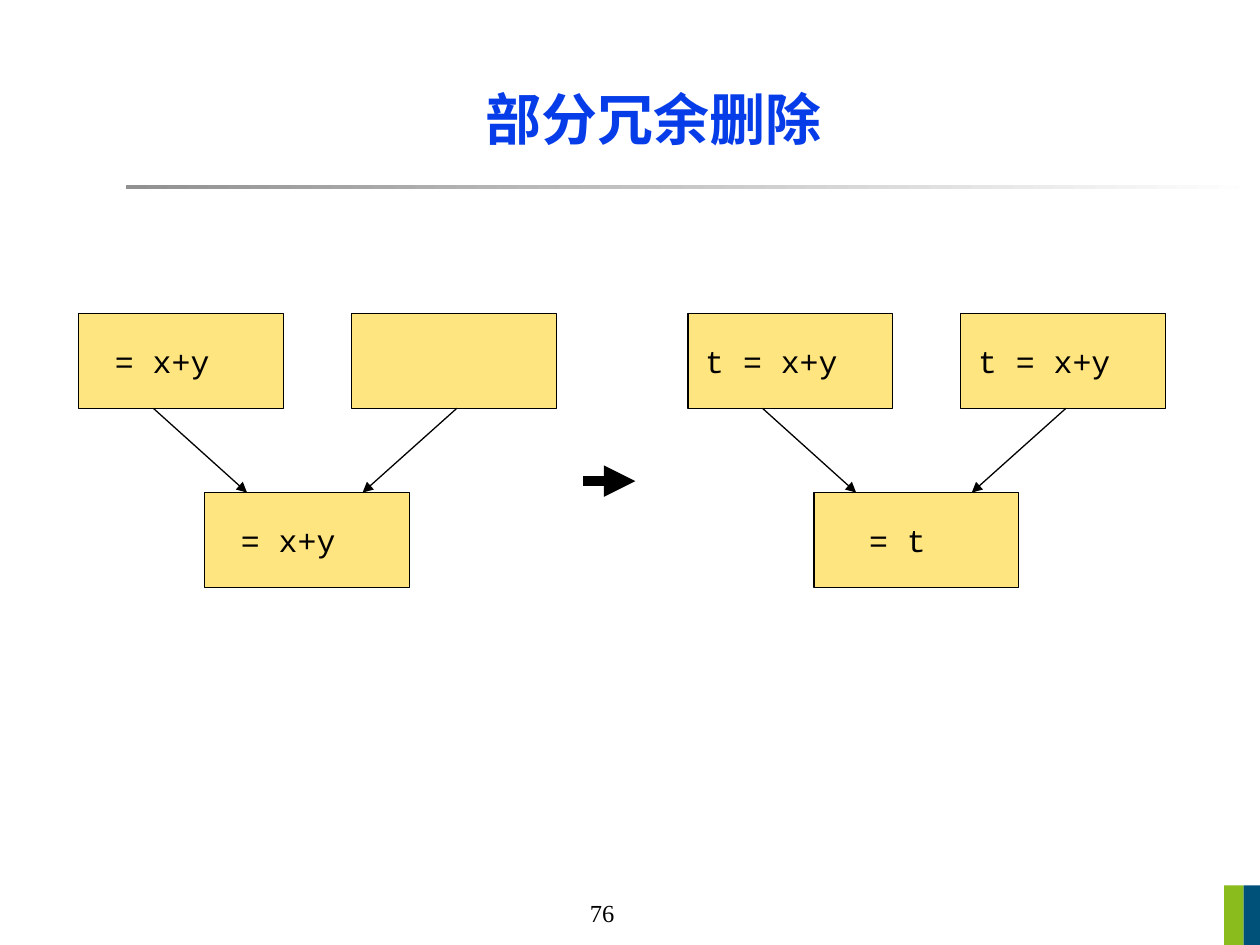
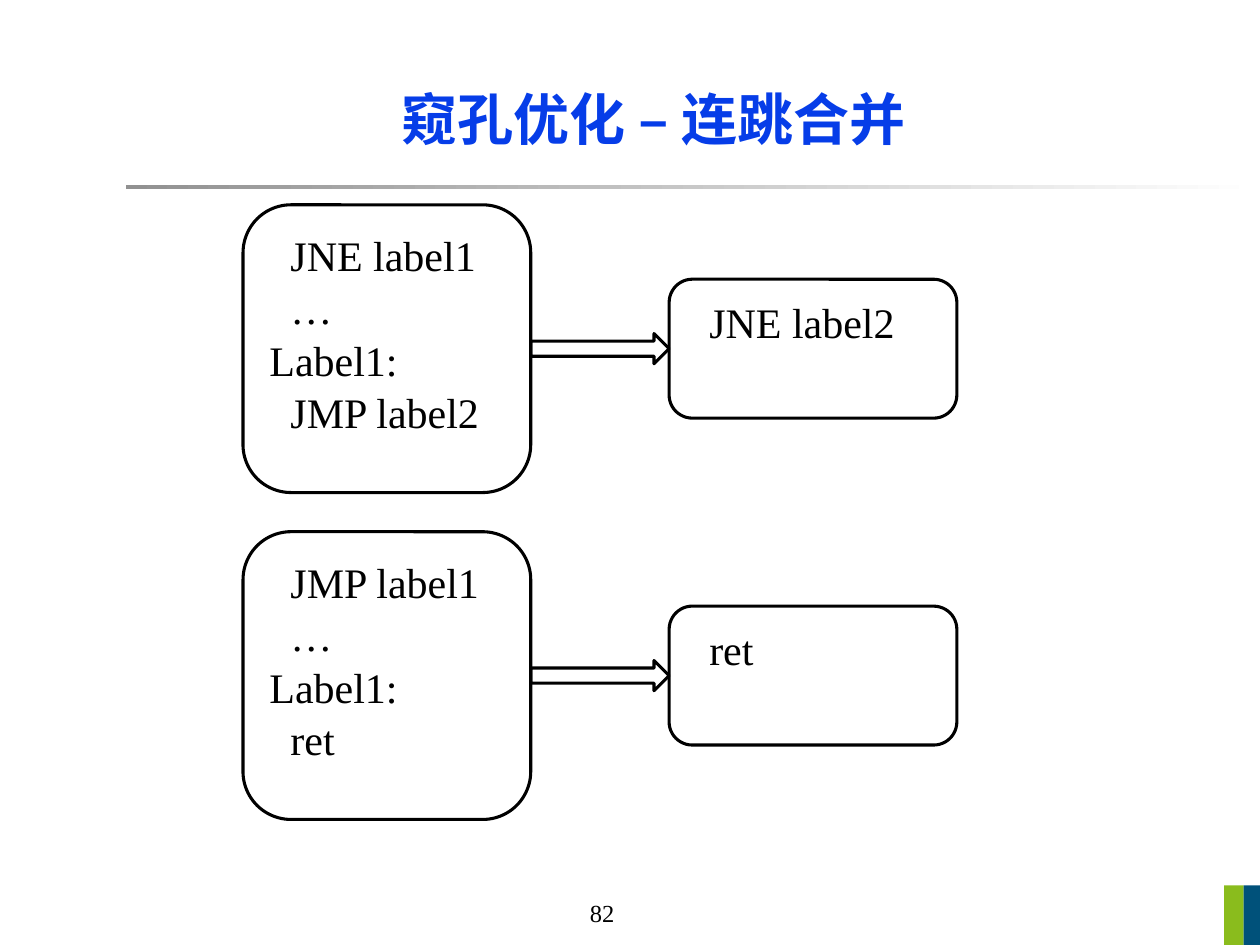
from dataclasses import dataclass

from lxml import etree
from pptx import Presentation
from pptx.dml.color import RGBColor
from pptx.enum.shapes import MSO_CONNECTOR, MSO_SHAPE
from pptx.enum.text import MSO_ANCHOR, PP_ALIGN
from pptx.oxml.ns import qn
from pptx.util import Cm, Pt

RECT, ROUNDED, ARROW = MSO_SHAPE.RECTANGLE, MSO_SHAPE.ROUNDED_RECTANGLE, MSO_SHAPE.RIGHT_ARROW
STRAIGHT = MSO_CONNECTOR.STRAIGHT
TOP, MIDDLE = MSO_ANCHOR.TOP, MSO_ANCHOR.MIDDLE
LEFT, CENTER = PP_ALIGN.LEFT, PP_ALIGN.CENTER
PAGE_WIDTH, PAGE_HEIGHT = 25.4, 19.05


@dataclass(frozen=True)
class Theme:
    ink: str = "000000"
    title: str = "063DE8"
    block: str = "FFCC00"
    rule_start: str = "919191"
    rule_end: str = "FFFFFF"
    green: str = "8ABC1D"
    blue: str = "00517A"
    title_font: str = "Vollkorn"
    code_font: str = "Courier New"
    body_font: str = "Times New Roman"
    title_size: int = 32
    listing_size: int = 24
    block_size: int = 18
    number_size: int = 14
    thin: float = 0.75
    outline: float = 1.75
    heavy: float = 6


THEME = Theme()

# Each flow graph: left edge, then its upper left, upper right and lower block
REDUNDANCY = {
    "title": "部分冗余删除",
    "number": "76",
    "graphs": [
        (1.59, ["= x+y", "", "= x+y"]),
        (13.87, ["t = x+y", "t = x+y", "= t"]),
    ],
}
JUMPS = {
    "title": "窥孔优化 – 连跳合并",
    "number": "82",
    "rewrites": [
        (["  JNE label1", "  …", "Label1:", "  JMP label2"], ["  JNE label2"]),
        (["  JMP label1", "  …", "Label1:", "  ret"], ["  ret"]),
    ],
}

BLOCK_SIZE = (4.13, 1.91)
BLOCK_OFFSETS = [(0, 0), (5.5, 0), (2.54, 3.61)]
EDGE_SPANS = [(1.5, 3.39), (7.62, 5.72)]
GRAPH_TOP = 6.32

BEFORE_LEFT, BEFORE_SIZE = 4.9, 5.8
AFTER_LEFT, AFTER_HEIGHT = 13.49, 2.8
ARROW_HEIGHT = 0.61
REWRITE_TOP, REWRITE_PITCH = 4.13, 6.59


def color(value):
    return RGBColor.from_string(value)


def style(para, font_name, size, ink=THEME.ink, bold=False):
    font = para.font
    font.name, font.size, font.bold = font_name, Pt(size), bold
    font.color.rgb = color(ink)


def add_shape(page, kind, left, top, width, height, fill=None, line_width=None):
    shape = page.shapes.add_shape(kind, Cm(left), Cm(top), Cm(width), Cm(height))
    shape.shadow.inherit = False
    if fill:
        shape.fill.solid()
        shape.fill.fore_color.rgb = color(fill)
    else:
        shape.fill.background()
    if line_width:
        shape.line.color.rgb = color(THEME.ink)
        shape.line.width = Pt(line_width)
    else:
        shape.line.fill.background()
    return shape


def add_arrow(page, start, end, width):
    line = page.shapes.add_connector(STRAIGHT, *(Cm(value) for value in (*start, *end)))
    line.line.color.rgb = color(THEME.ink)
    line.line.width = Pt(width)
    etree.SubElement(line.line._get_or_add_ln(), qn("a:tailEnd"), type="triangle")
    etree.SubElement(line._element.spPr, qn("a:effectLst"))


def add_page(deck, content):
    """Add a slide with its title, rule, page number and corner bands."""
    page = deck.slides.add_slide(deck.slide_layouts[5])
    rule = add_shape(page, RECT, 2.54, 3.73, PAGE_WIDTH - 2.54, 0.08)
    rule.fill.gradient()
    rule.fill.gradient_angle = 0
    for stop, value in zip(rule.fill.gradient_stops, (THEME.rule_start, THEME.rule_end)):
        stop.color.rgb = color(value)
    for left, right, fill in ((24.68, 25.07, THEME.green), (25.07, PAGE_WIDTH, THEME.blue)):
        add_shape(page, RECT, left, 17.85, right - left, PAGE_HEIGHT - 17.85, fill)

    number = page.shapes.add_textbox(Cm(11.64), Cm(17.98), Cm(1.1), Cm(0.85))
    number.text_frame.text = content["number"]
    number.text_frame.word_wrap = False
    style(number.text_frame.paragraphs[0], THEME.body_font, THEME.number_size)

    title = page.shapes.title
    title.left, title.top, title.width, title.height = Cm(2.7), Cm(1.12), Cm(20.95), Cm(2.54)
    title.text_frame.text = content["title"]
    title.text_frame.vertical_anchor = MIDDLE
    para = title.text_frame.paragraphs[0]
    para.alignment = CENTER
    style(para, THEME.title_font, THEME.title_size, THEME.title, bold=True)
    return page


def add_block(page, left, top, code):
    block = add_shape(page, RECT, left, top, *BLOCK_SIZE, THEME.block, THEME.thin)
    fill_color = block._element.spPr.find(qn("a:solidFill")).find(qn("a:srgbClr"))
    etree.SubElement(fill_color, qn("a:alpha"), val="50000")
    if code:
        frame = block.text_frame
        frame.text = code
        frame.vertical_anchor = MIDDLE
        frame.margin_right = Cm(1.02)
        frame.paragraphs[0].alignment = CENTER
        style(frame.paragraphs[0], THEME.code_font, THEME.block_size)


def add_flow_graph(page, left, codes):
    for (across, down), code in zip(BLOCK_OFFSETS, codes):
        add_block(page, left + across, GRAPH_TOP + down, code)
    edge_top = GRAPH_TOP + BLOCK_SIZE[1]
    edge_bottom = GRAPH_TOP + BLOCK_OFFSETS[-1][1]
    for start, end in EDGE_SPANS:
        add_arrow(page, (left + start, edge_top), (left + end, edge_bottom), THEME.thin)


def add_listing(page, left, middle, height, lines):
    box = add_shape(page, ROUNDED, left, middle - height / 2, BEFORE_SIZE, height,
                    line_width=THEME.outline)
    frame = box.text_frame
    frame.text = "\n".join(lines)
    frame.vertical_anchor = TOP
    frame.margin_top = Cm(0.18)
    for para in frame.paragraphs:
        para.alignment = LEFT
        para.line_spacing = 1.04
        style(para, THEME.body_font, THEME.listing_size)


def add_rewrite(page, top, before, after):
    middle = top + BEFORE_SIZE / 2
    arrow_left = BEFORE_LEFT + BEFORE_SIZE
    add_listing(page, BEFORE_LEFT, middle, BEFORE_SIZE, before)
    add_listing(page, AFTER_LEFT, middle, AFTER_HEIGHT, after)
    add_shape(page, ARROW, arrow_left, middle - ARROW_HEIGHT / 2,
              AFTER_LEFT - arrow_left, ARROW_HEIGHT, line_width=THEME.outline)


def main():
    deck = Presentation()
    deck.slide_width, deck.slide_height = Cm(PAGE_WIDTH), Cm(PAGE_HEIGHT)

    page = add_page(deck, REDUNDANCY)
    add_arrow(page, (11.76, 9.7), (12.81, 9.7), THEME.heavy)
    for left, codes in REDUNDANCY["graphs"]:
        add_flow_graph(page, left, codes)

    page = add_page(deck, JUMPS)
    for index, (before, after) in enumerate(JUMPS["rewrites"]):
        add_rewrite(page, REWRITE_TOP + index * REWRITE_PITCH, before, after)

    deck.save("out.pptx")


if __name__ == "__main__":
    main()
